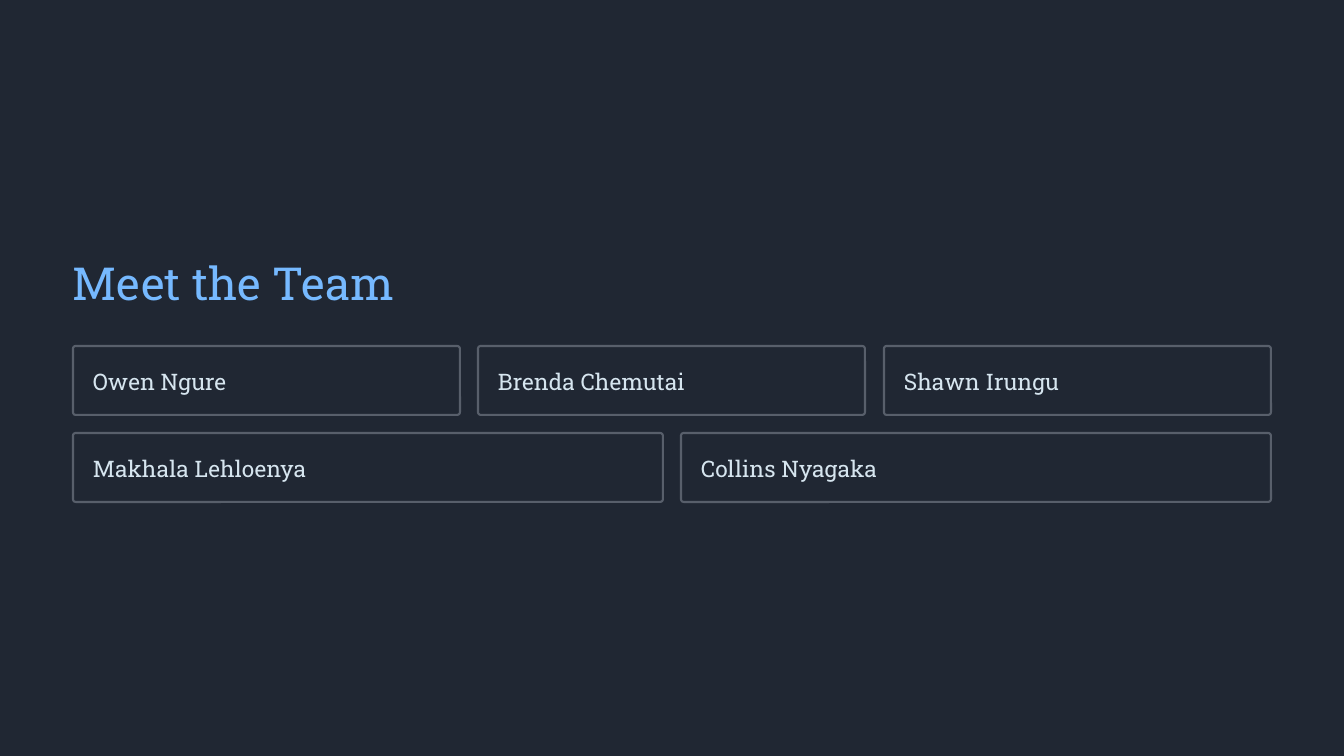
from dataclasses import dataclass

import pptx
import pptx.dml.color
import pptx.enum.shapes
import pptx.enum.text
import pptx.shapes.autoshape
import pptx.slide
import pptx.util

PX_PER_INCH = 84
MARGIN = 73
CONTENT_WIDTH = 1198
GAP = 18
CARD_TOP = 346
CARD_HEIGHT = 69
NAME_INSET_X = 20
NAME_INSET_Y = 21


@dataclass(frozen=True)
class MemberCard:
    name: str
    left: int
    top: int
    width: int


def px(length: int) -> pptx.util.Emu:
    return pptx.util.Emu(round(length * 914400 / PX_PER_INCH))


def color(value: str) -> pptx.dml.color.RGBColor:
    return pptx.dml.color.RGBColor.from_string(value)


def add_text(
    slide: pptx.slide.Slide,
    text: str,
    *,
    left: int,
    top: int,
    width: int,
    height: int,
    size: float,
    line_height: float,
    text_color: str,
) -> pptx.shapes.autoshape.Shape:
    box = slide.shapes.add_textbox(px(left), px(top), px(width), px(height))
    frame = box.text_frame
    frame.margin_left = frame.margin_top = 0
    frame.margin_right = frame.margin_bottom = 0
    frame.word_wrap = False
    frame.vertical_anchor = pptx.enum.text.MSO_ANCHOR.TOP
    paragraph = frame.paragraphs[0]
    paragraph.alignment = pptx.enum.text.PP_ALIGN.LEFT
    paragraph.line_spacing = pptx.util.Pt(line_height)
    run = paragraph.add_run()
    run.text = text
    run.font.name = "Roboto Slab"
    run.font.size = pptx.util.Pt(size)
    run.font.color.rgb = color(text_color)
    return box


def arrange_cards(team_rows: list[list[str]]) -> list[MemberCard]:
    cards = []
    for row, names in enumerate(team_rows):
        pitch = (CONTENT_WIDTH + GAP) / len(names)
        for column, name in enumerate(names):
            cards.append(
                MemberCard(
                    name=name,
                    left=MARGIN + round(column * pitch),
                    top=CARD_TOP + row * (CARD_HEIGHT + GAP),
                    width=round(pitch - GAP),
                )
            )
    return cards


def draw_card(slide: pptx.slide.Slide, card: MemberCard) -> None:
    outline = slide.shapes.add_shape(
        pptx.enum.shapes.MSO_SHAPE.ROUNDED_RECTANGLE,
        px(card.left),
        px(card.top),
        px(card.width),
        px(CARD_HEIGHT),
    )
    outline.adjustments[0] = 0.04
    outline.shadow.inherit = False
    outline.fill.background()
    outline.line.color.rgb = color("585F6B")
    outline.line.width = pptx.util.Pt(1.8)
    add_text(
        slide,
        card.name,
        left=card.left + NAME_INSET_X,
        top=card.top + NAME_INSET_Y,
        width=228,
        height=29,
        size=19.5,
        line_height=24,
        text_color="D6E5EF",
    )


def main() -> None:
    presentation = pptx.Presentation()
    presentation.slide_width = px(1344)
    presentation.slide_height = px(756)
    slide = presentation.slides.add_slide(presentation.slide_layouts[6])
    slide.background.fill.solid()
    slide.background.fill.fore_color.rgb = color("202733")

    add_text(
        slide,
        "Meet the Team",
        left=MARGIN,
        top=253,
        width=456,
        height=57,
        size=39,
        line_height=48.5,
        text_color="76B9FF",
    )
    team_rows = [
        ["Owen Ngure", "Brenda Chemutai", "Shawn Irungu"],
        ["Makhala Lehloenya", "Collins Nyagaka"],
    ]
    for card in arrange_cards(team_rows):
        draw_card(slide, card)

    presentation.save("out.pptx")


if __name__ == "__main__":
    main()
